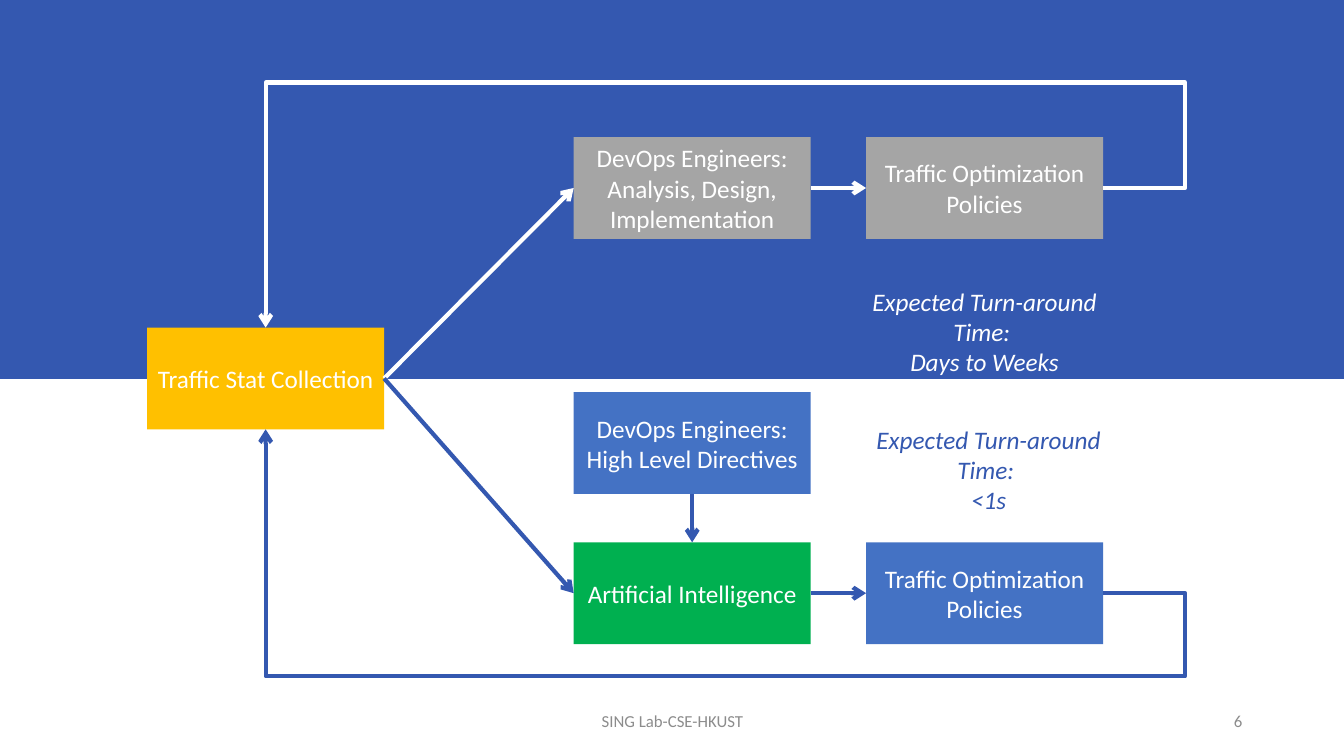
from lxml import etree
from pptx import Presentation
from pptx.dml.color import RGBColor
from pptx.enum.shapes import MSO_CONNECTOR, MSO_SHAPE
from pptx.enum.text import MSO_ANCHOR, MSO_AUTO_SIZE, PP_ALIGN
from pptx.oxml.ns import qn
from pptx.util import Inches, Pt

RECTANGLE = MSO_SHAPE.RECTANGLE
STRAIGHT, ELBOW = MSO_CONNECTOR.STRAIGHT, MSO_CONNECTOR.ELBOW
TOP_ANCHOR, MIDDLE = MSO_ANCHOR.TOP, MSO_ANCHOR.MIDDLE
FIXED, GROW = MSO_AUTO_SIZE.NONE, MSO_AUTO_SIZE.SHAPE_TO_FIT_TEXT
CENTER, RIGHT_ALIGN = PP_ALIGN.CENTER, PP_ALIGN.RIGHT
TOP, LEFT, BOTTOM, RIGHT = range(4)

WHITE = RGBColor(0xFF, 0xFF, 0xFF)
NAVY = RGBColor(0x34, 0x58, 0xB0)
BLUE = RGBColor(0x44, 0x72, 0xC4)
AMBER = RGBColor(0xFF, 0xC0, 0x00)
SILVER = RGBColor(0xA5, 0xA5, 0xA5)
GREEN = RGBColor(0x00, 0xB0, 0x50)
GRAY = RGBColor(0x8C, 0x8C, 0x8C)

SLIDE_WIDTH, SLIDE_HEIGHT = 13.33, 7.5
BOX_WIDTH, BOX_HEIGHT = 2.35, 1.01
STAT_LEFT, STEP_LEFT, POLICY_LEFT = 1.46, 5.69, 8.59
MANUAL_TOP, STAT_TOP, DIRECTIVE_TOP, AUTO_TOP = 1.36, 3.25, 3.89, 5.38
LOOP_RIGHT = 11.75


class FlowSlide:
    """Style and drawing methods for one flow chart slide."""

    def __init__(self, page):
        self.shapes = page.shapes
        self.font = {"name": "Calibri", "size": Pt(18), "italic": False}

    def set_text(self, shape, lines, color, align=CENTER, anchor=MIDDLE, fit=FIXED, **style):
        """Fill a shape with one paragraph for each line."""
        frame = shape.text_frame
        frame.text = "\n".join(lines)
        settings = {"word_wrap": True, "auto_size": fit, "vertical_anchor": anchor}
        for name, value in settings.items():
            setattr(frame, name, value)
        for para in frame.paragraphs:
            para.alignment = align
            for span in para.runs:
                for name, value in {**self.font, **style}.items():
                    setattr(span.font, name, value)
                span.font.color.rgb = color

    def block(self, left, top, width, height, fill):
        """Draw a plain filled rectangle."""
        block = self.shapes.add_shape(
            RECTANGLE, Inches(left), Inches(top), Inches(width), Inches(height))
        block.shadow.inherit = False
        block.fill.solid()
        block.fill.fore_color.rgb = fill
        block.line.fill.background()
        return block

    def step(self, left, top, fill, *lines):
        """Draw a labelled step of the flow."""
        box = self.block(left, top, BOX_WIDTH, BOX_HEIGHT, fill)
        self.set_text(box, lines, WHITE)
        return box

    def label(self, left, top, width, height, lines, color, **style):
        """Place free text on the slide."""
        box = self.shapes.add_textbox(
            Inches(left), Inches(top), Inches(width), Inches(height))
        self.set_text(box, lines, color, **style)

    def finish_line(self, connector, color):
        """Give a connector its colour, weight and arrowhead."""
        connector.line.color.rgb = color
        connector.line.width = Pt(3)
        properties = connector.line._get_or_add_ln()
        etree.SubElement(properties, qn("a:tailEnd"), type="arrow")
        etree.SubElement(connector._element.spPr, qn("a:effectLst"))

    def arrow(self, start, start_side, end, end_side, color):
        """Join two steps with a straight arrow."""
        arrow = self.shapes.add_connector(STRAIGHT, 0, 0, 0, 0)
        arrow.begin_connect(start, start_side)
        arrow.end_connect(end, end_side)
        self.finish_line(arrow, color)

    def feedback(self, start_top, end_y, loop_y, color):
        """Lead from a policy step around the outside to the statistics step."""
        start_x, start_y = POLICY_LEFT + BOX_WIDTH, start_top + BOX_HEIGHT / 2
        end_x = STAT_LEFT + BOX_WIDTH / 2
        loop = self.shapes.add_connector(
            ELBOW, Inches(start_x), Inches(start_y), Inches(end_x), Inches(end_y))
        geometry = loop._element.spPr.find(qn("a:prstGeom"))
        geometry.set("prst", "bentConnector4")
        guides = geometry.find(qn("a:avLst"))
        bends = [(LOOP_RIGHT - start_x) / (end_x - start_x),
                 (loop_y - start_y) / (end_y - start_y)]
        for number, bend in enumerate(bends, 1):
            etree.SubElement(guides, qn("a:gd"), name=f"adj{number}",
                             fmla=f"val {round(bend * 100000)}")
        self.finish_line(loop, color)


def main():
    """Build the slide and save the deck."""
    deck = Presentation()
    deck.slide_width, deck.slide_height = Inches(SLIDE_WIDTH), Inches(SLIDE_HEIGHT)
    flow = FlowSlide(deck.slides.add_slide(deck.slide_layouts[6]))

    flow.block(0, 0, SLIDE_WIDTH, 3.76, NAVY)
    flow.label(4.42, 6.95, 4.5, 0.4, ["SING Lab-CSE-HKUST"], GRAY, size=Pt(12))
    flow.label(9.42, 6.95, 3, 0.4, ["6"], GRAY, align=RIGHT_ALIGN, size=Pt(12))

    stats = flow.step(STAT_LEFT, STAT_TOP, AMBER, "Traffic Stat Collection")
    engineers = flow.step(STEP_LEFT, MANUAL_TOP, SILVER,
                          "DevOps Engineers:", "Analysis, Design, Implementation")
    directives = flow.step(STEP_LEFT, DIRECTIVE_TOP, BLUE,
                           "DevOps Engineers:", "High Level Directives")
    intelligence = flow.step(STEP_LEFT, AUTO_TOP, GREEN, "Artificial Intelligence")
    manual_policy, auto_policy = [
        flow.step(POLICY_LEFT, top, fill, "Traffic Optimization Policies")
        for top, fill in [(MANUAL_TOP, SILVER), (AUTO_TOP, BLUE)]]

    for left, top, duration, color in [(8.28, 2.79, "Days to Weeks", WHITE),
                                       (8.32, 4.16, "<1s", NAVY)]:
        flow.label(left, top, 2.97, 0.71, ["Expected Turn-around Time: ", duration],
                   color, anchor=TOP_ANCHOR, fit=GROW, italic=True)

    for start, start_side, end, end_side, color in [
            (stats, RIGHT, engineers, LEFT, WHITE),
            (stats, RIGHT, intelligence, LEFT, NAVY),
            (engineers, RIGHT, manual_policy, LEFT, WHITE),
            (intelligence, RIGHT, auto_policy, LEFT, NAVY),
            (directives, BOTTOM, intelligence, TOP, NAVY)]:
        flow.arrow(start, start_side, end, end_side, color)

    flow.feedback(MANUAL_TOP, STAT_TOP, 0.82, WHITE)
    flow.feedback(AUTO_TOP, STAT_TOP + BOX_HEIGHT, 6.71, NAVY)
    deck.save("out.pptx")


if __name__ == "__main__":
    main()
